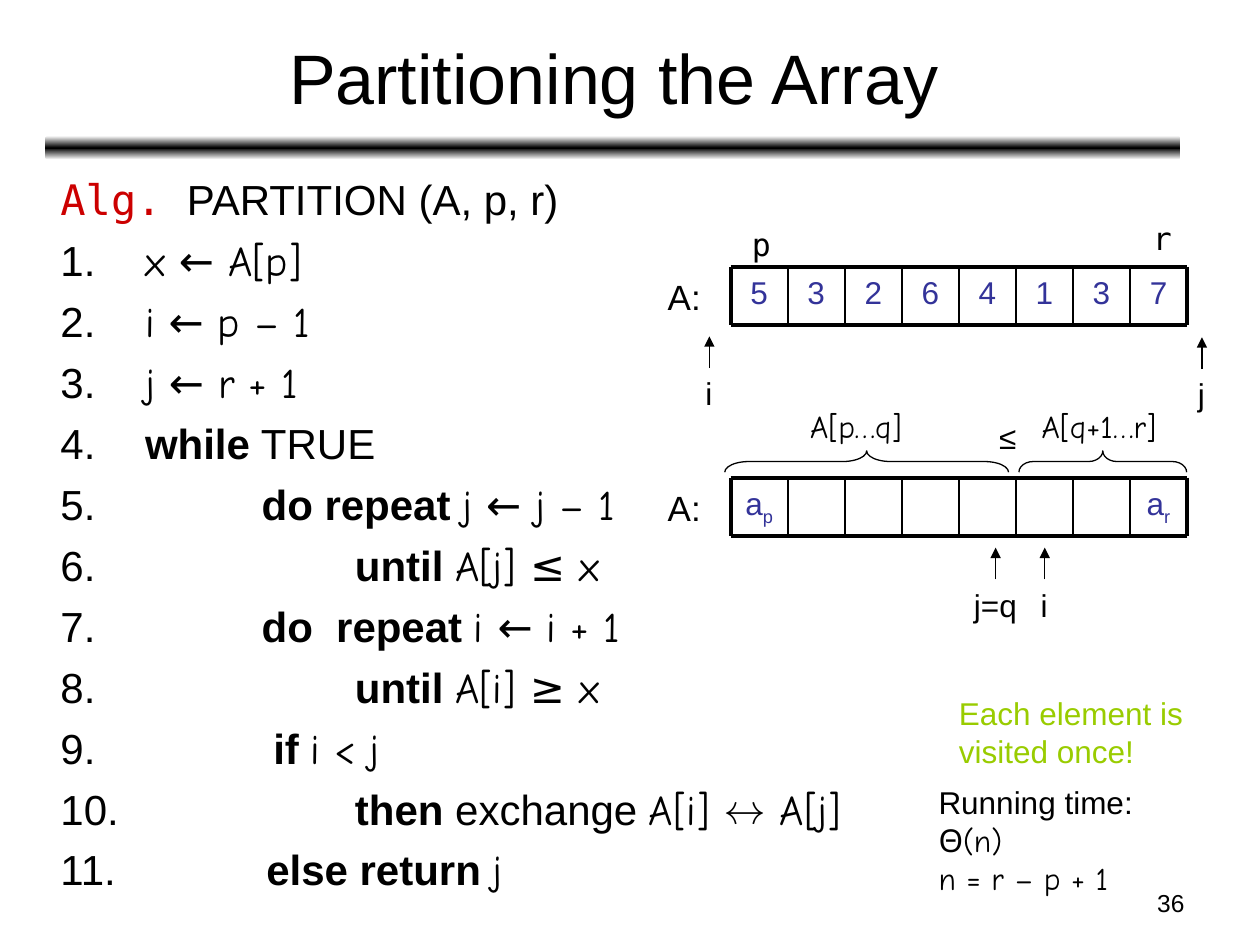
"""Build the slide that explains how PARTITION splits an array."""
from copy import deepcopy
from dataclasses import dataclass

from lxml import etree
from pptx import Presentation
from pptx.dml.color import RGBColor
from pptx.enum.shapes import MSO_CONNECTOR, MSO_SHAPE
from pptx.enum.text import MSO_ANCHOR, MSO_AUTO_SIZE, PP_ALIGN
from pptx.oxml.ns import qn
from pptx.util import Cm, Pt

STRAIGHT = MSO_CONNECTOR.STRAIGHT
ROUNDED, BRACE = MSO_SHAPE.ROUNDED_RECTANGLE, MSO_SHAPE.LEFT_BRACE
LEFT, CENTER, RIGHT = PP_ALIGN.LEFT, PP_ALIGN.CENTER, PP_ALIGN.RIGHT
TOP, MIDDLE = MSO_ANCHOR.TOP, MSO_ANCHOR.MIDDLE
FIT, NO_FIT = MSO_AUTO_SIZE.SHAPE_TO_FIT_TEXT, MSO_AUTO_SIZE.NONE


@dataclass(frozen=True)
class Theme:
    sans: str = "Arial"
    hand: str = "Comic Neue"
    mono: str = "DejaVu Sans Mono"
    ink: RGBColor = RGBColor(0x00, 0x00, 0x00)
    paper: RGBColor = RGBColor(0xFF, 0xFF, 0xFF)
    keyword: RGBColor = RGBColor(0xCC, 0x00, 0x00)
    value: RGBColor = RGBColor(0x33, 0x33, 0x99)
    remark: RGBColor = RGBColor(0x99, 0xCC, 0x00)
    title: int = 40
    code: int = 24
    name: int = 20
    label: int = 18
    number: int = 14


THEME = Theme()
ARRAY_LEFT, CELL_WIDTH, CELL_HEIGHT, CELLS = 14.73, 1.15, 1.17, 8
NUMBER_INDENT, SPACE = 1.47, 0.235
STEPS = [
    (0, [("x ← A[p]", "hand")]),
    (0, [("i ← p – 1", "hand")]),
    (0, [("j ← r + 1", "hand")]),
    (0, [("while", "bold"), (" TRUE", "sans")]),
    (10, [("do repeat ", "bold"), ("j ← j – 1", "hand")]),
    (18, [("until ", "bold"), ("A[j] ≤ x", "hand")]),
    (10, [("do  repeat ", "bold"), ("i ← i + 1", "hand")]),
    (18, [("until ", "bold"), ("A[i] ≥ x", "hand")]),
    (11, [("if ", "bold"), ("i < j", "hand")]),
    (18, [("then", "bold"), (" exchange ", "sans"), ("A[i] ↔ A[j]", "hand")]),
    (10.4, [("else return ", "bold"), ("j", "hand")]),
]


def add_run(paragraph, words, size, face=THEME.sans, color=THEME.ink, bold=False):
    """Append one styled run."""
    run = paragraph.add_run()
    run.text = words
    run.font.name, run.font.size, run.font.bold = face, Pt(size), bold
    run.font.color.rgb = color
    return run


def add_frame(slide, left, top, width, height, wrap=True, anchor=TOP):
    """Add an empty text box."""
    box = slide.shapes.add_textbox(Cm(left), Cm(top), Cm(width), Cm(height))
    frame = box.text_frame
    frame.word_wrap, frame.vertical_anchor = wrap, anchor
    frame.auto_size = NO_FIT if wrap else FIT
    return box


def add_label(slide, words, left, top, width, height=1.02, size=THEME.label,
              face=THEME.sans, color=THEME.ink, align=LEFT, wrap=False, anchor=TOP):
    """Add a text box with one paragraph per line of words."""
    box = add_frame(slide, left, top, width, height, wrap, anchor)
    frame = box.text_frame
    for index, line in enumerate(words.split("\n")):
        paragraph = frame.add_paragraph() if index else frame.paragraphs[0]
        paragraph.alignment = align
        add_run(paragraph, line, size, face, color)
    return box


def add_line(slide, x1, y1, x2, y2, weight):
    """Add a straight line without a shadow."""
    line = slide.shapes.add_connector(STRAIGHT, Cm(x1), Cm(y1), Cm(x2), Cm(y2))
    line.line.color.rgb, line.line.width = THEME.ink, Pt(weight)
    etree.SubElement(line._element.spPr, qn("a:effectLst"))
    return line


def add_pointer(slide, words, center, top, width):
    """Add an index label with an arrow rising from it."""
    label = add_label(slide, words, center - width / 2, top, width)
    arrow = add_line(slide, center, top, center, top - 0.64, 0.75)
    arrow.begin_connect(label, 0)
    etree.SubElement(arrow.line._get_or_add_ln(), qn("a:tailEnd"), type="triangle")


def add_array(slide, top, values):
    """Add a row of cells; values maps a cell to its text and subscript."""
    for cell, (value, subscript) in values.items():
        box = add_label(slide, value, ARRAY_LEFT + cell * CELL_WIDTH, top, CELL_WIDTH,
                        CELL_HEIGHT, color=THEME.value, align=CENTER, wrap=True)
        if subscript:
            run = add_run(box.text_frame.paragraphs[0], subscript, THEME.label,
                          color=THEME.value)
            run._r.get_or_add_rPr().set("baseline", "-25000")
    right, bottom = ARRAY_LEFT + CELLS * CELL_WIDTH, top + CELL_HEIGHT
    for y in (top, bottom):
        add_line(slide, ARRAY_LEFT, y, right, y, 2.25)
    for edge in range(CELLS + 1):
        x = ARRAY_LEFT + edge * CELL_WIDTH
        add_line(slide, x, top, x, bottom, 2.25 if edge in (0, CELLS) else 1)
    add_label(slide, "A:", 13.21, top + 0.05, 1.17, 1.09, THEME.name)


def add_brace(slide, left, top, span, curl):
    """Add a brace lying over part of an array."""
    depth = 0.43
    brace = slide.shapes.add_shape(BRACE, Cm(left + (span - depth) / 2),
                                   Cm(top - (span - depth) / 2), Cm(depth), Cm(span))
    brace.rotation = 90
    brace.adjustments[0], brace.adjustments[1] = curl, 0.5
    brace.shadow.inherit = False
    brace.fill.background()
    brace.line.color.rgb, brace.line.width = THEME.ink, Pt(0.75)


def add_rule(slide):
    """Add the shaded bar under the title."""
    bar = slide.shapes.add_shape(ROUNDED, Cm(0.91), Cm(2.74), Cm(22.89), Cm(0.48))
    bar.shadow.inherit = False
    bar.line.fill.background()
    bar.fill.gradient()
    bar.fill.gradient_angle = 270
    stops = bar._element.spPr.find(qn("a:gradFill")).find(qn("a:gsLst"))
    stops.append(deepcopy(stops[-1]))
    shades = zip(bar.fill.gradient_stops, (0, 0.5, 1), (THEME.paper, THEME.ink, THEME.paper))
    for stop, position, shade in shades:
        stop.position, stop.color.rgb = position, shade


def add_algorithm(slide):
    """Add the numbered pseudocode."""
    styles = {"sans": (THEME.sans, False), "bold": (THEME.sans, True),
              "hand": (THEME.hand, False)}
    frame = add_frame(slide, 0.97, 3.38, 22.86, 14.83).text_frame
    heading = frame.paragraphs[0]
    add_run(heading, "Alg. ", THEME.code, THEME.mono, THEME.keyword)
    add_run(heading, "PARTITION (A, p, r)", THEME.code)
    for depth, parts in STEPS:
        step = frame.add_paragraph()
        step.space_before = Pt(6)
        margin = Cm(NUMBER_INDENT + depth * SPACE)
        properties = step._p.get_or_add_pPr()
        properties.set("marL", str(margin))
        properties.set("indent", str(-margin))
        etree.SubElement(properties, qn("a:buFont"), typeface=THEME.sans)
        etree.SubElement(properties, qn("a:buAutoNum"), type="arabicPeriod")
        add_run(step, " ", THEME.code)
        for words, style in parts:
            face, bold = styles[style]
            add_run(step, words, THEME.code, face, bold=bold)


def add_running_time(slide):
    """Add the cost of the algorithm."""
    frame = add_frame(slide, 18.67, 15.67, 5.55, 1.78).text_frame
    cost = frame.paragraphs[0]
    add_run(cost, "Running time: ", THEME.label)
    add_run(cost, "Θ(n)", THEME.label, THEME.hand)
    add_run(frame.add_paragraph(), "n = r – p + 1", THEME.label, THEME.hand)


def main():
    """Build and save the slide."""
    deck = Presentation()
    deck.slide_width, deck.slide_height = Cm(25.4), Cm(19.05)
    slide = deck.slides.add_slide(deck.slide_layouts[6])
    add_rule(slide)
    add_label(slide, "36", 18.21, 17.78, 5.92, 0.89, THEME.number, align=RIGHT, wrap=True)
    add_label(slide, "Partitioning the Array", 0.94, 0.28, 22.86, 2.51, THEME.title,
              align=CENTER, wrap=True, anchor=MIDDLE)
    add_algorithm(slide)
    add_running_time(slide)
    add_array(slide, 5.38, {cell: (value, "") for cell, value in enumerate("53264137")})
    add_array(slide, 9.63, {0: ("a", "p"), CELLS - 1: ("a", "r")})
    for words, center, top, width in (("i", 14.3, 7.42, 0.66), ("j", 24.23, 7.44, 0.66),
                                      ("i", 21.06, 11.68, 0.66), ("j=q", 20.07, 11.68, 1.37)):
        add_pointer(slide, words, center, top, width)
    add_brace(slide, 14.61, 9.09, 5.72, 1.125)
    add_brace(slide, 20.54, 9.09, 3.38, 0.667)
    for words, left, top, width, face in (
            ("A[p…q]", 16.08, 8.08, 2.54, THEME.hand), ("A[q+1…r]", 20.75, 8.08, 3.1, THEME.hand),
            ("≤", 19.89, 8.31, 0.86, THEME.sans), ("p", 14.91, 4.42, 0.79, THEME.mono),
            ("r", 22.99, 4.29, 0.71, THEME.mono)):
        add_label(slide, words, left, top, width, face=face)
    add_label(slide, "Each element is\nvisited once!", 19.08, 13.87, 5.03, 1.78,
              color=THEME.remark)
    deck.save("out.pptx")


if __name__ == "__main__":
    main()
